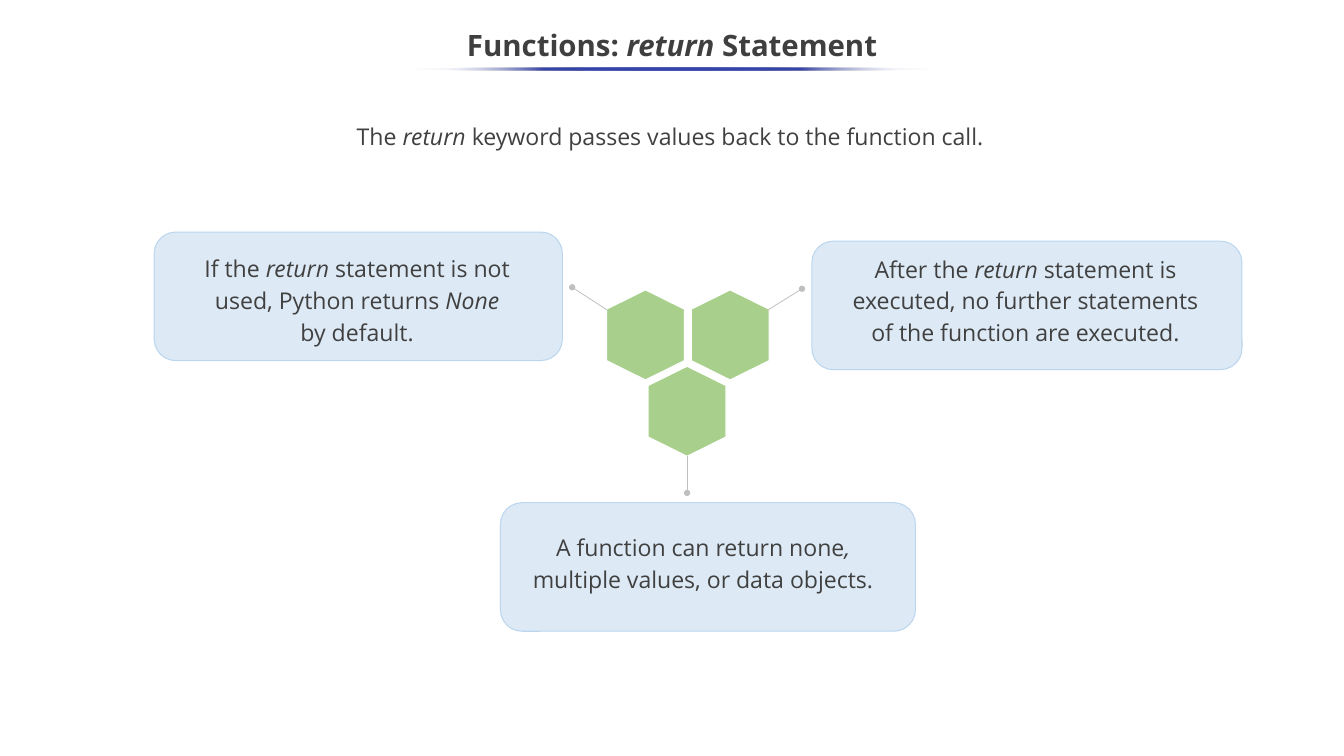
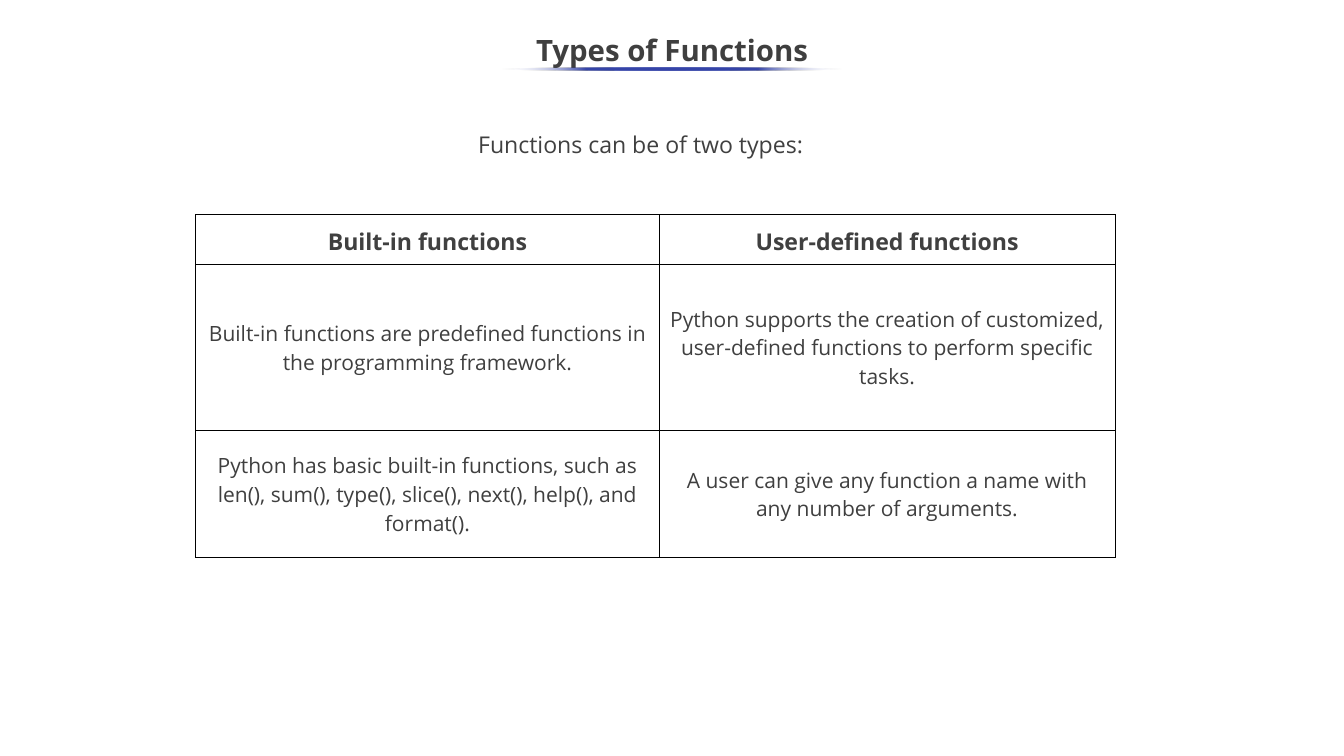
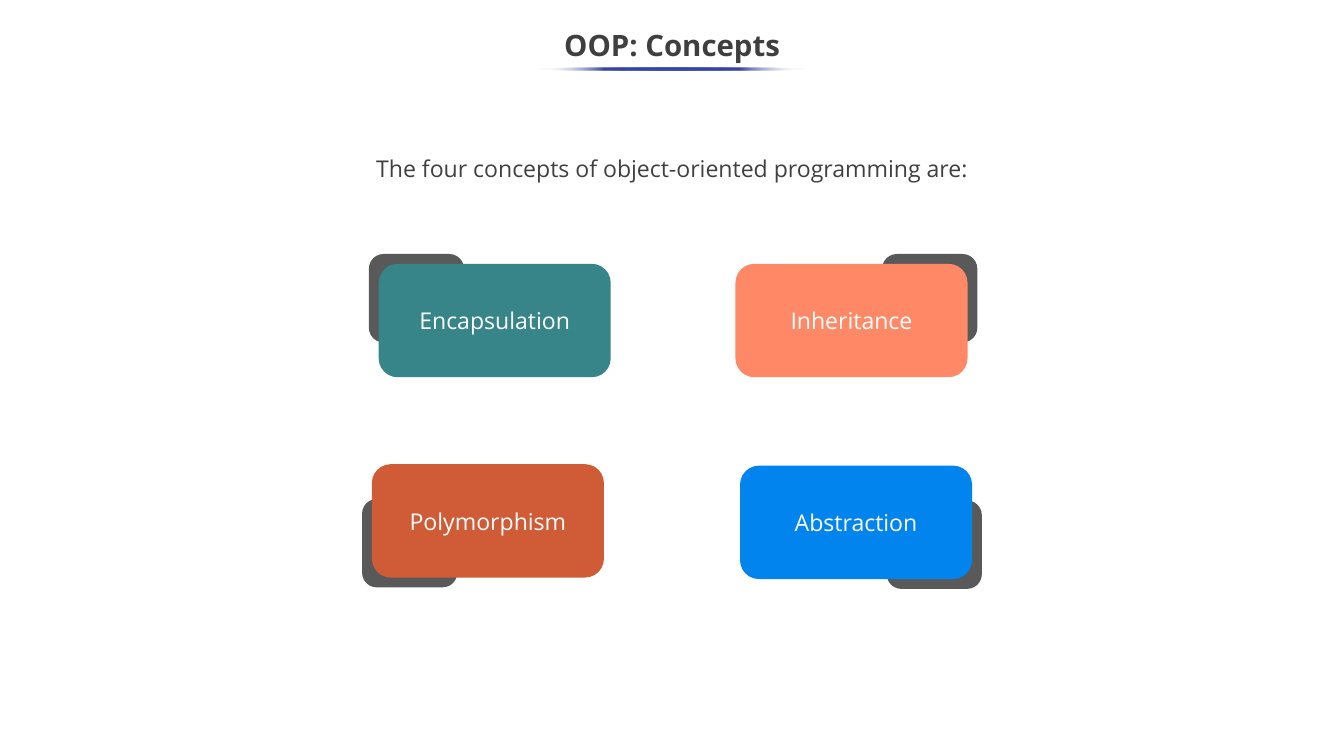
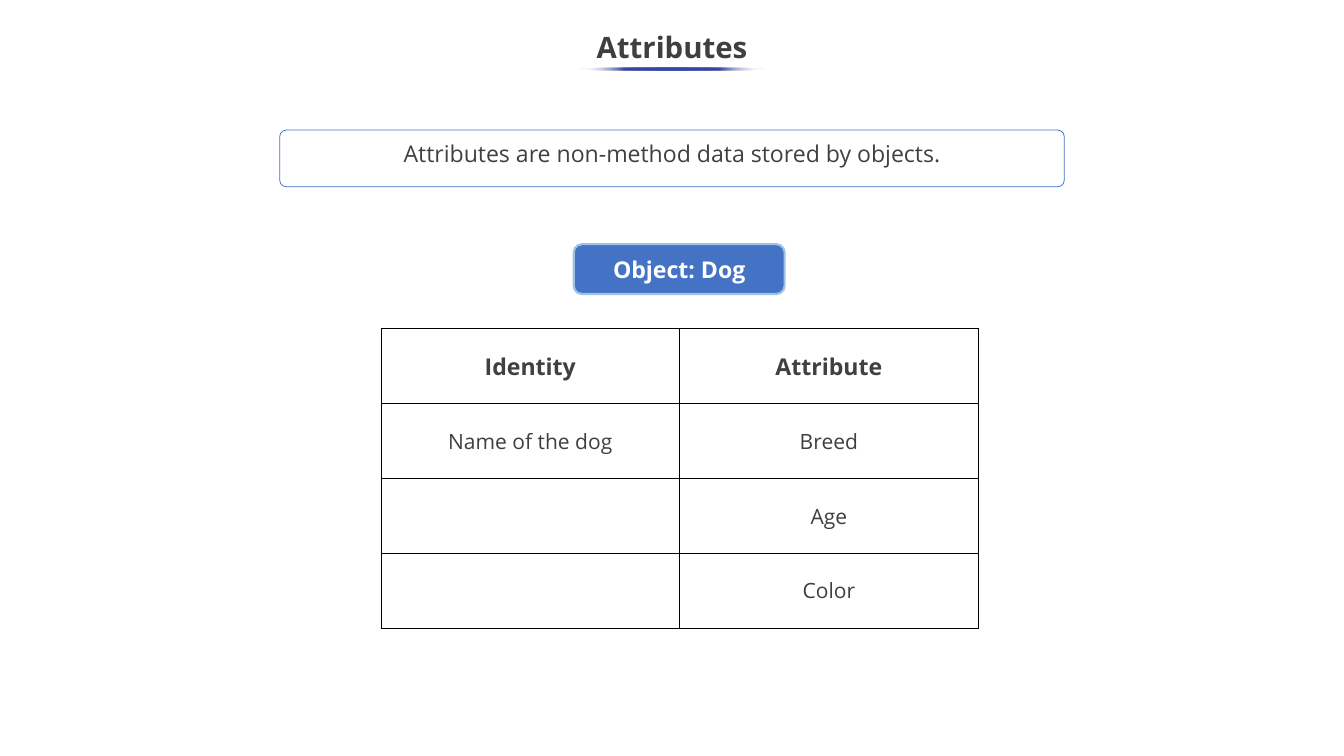
from dataclasses import dataclass
from lxml import etree
from pptx import Presentation
from pptx import util as u
from pptx.dml.color import RGBColor
from pptx.enum import shapes, text
from pptx.oxml import parse_xml
from pptx.oxml.ns import nsdecls, qn


@dataclass(frozen=True)
class Theme:
    font: str = "Open Sans"
    dark: str = "3F3F3F"
    ink: str = "404040"
    white: str = "FFFFFF"
    black: str = "000000"
    bar: str = "3645A9"
    card: str = "DDEAF6"
    edge: str = "BBD6EE"
    hexa: str = "A8D08C"
    wire: str = "BFBFBF"
    back: str = "595959"
    blue: str = "4472C4"
    rim: str = "9CC2E5"
    head: int = 28
    body: int = 22
    cell: int = 20


T = Theme()
WIDE, HIGH = 17.78, 10
MID = WIDE / 2

RETURN = {
    "title": "Functions: *return* Statement", "bar": 6.79,
    "lead": ("The *return* keyword passes values back to the function call.",
             (2.69, 1.28, 12.35, 0.98)),
    "cards": [
        ("If the *return* statement is not used, Python returns *None* by default.",
         (2.04, 3.07, 5.4, 1.7), (2.52, 3.3, 4.31, 1.28), (0.1, 0)),
        ("After the *return *statement is executed, no further statements "
         "of the function are executed.",
         (10.74, 3.19, 5.69, 1.7), (11.12, 3.31, 4.99, 1.28), (0, 0.1)),
        ("A function can return none*, *multiple values, or data objects.",
         (6.62, 6.65, 5.49, 1.7), (6.81, 6.79, 5.08, 1.27), (0, 0.1)),
    ],
    "cells": [
        ((8.54, 4.43), (8.03, 4.1), (7.57, 3.8)),
        ((9.66, 4.43), (10.16, 4.1), (10.61, 3.82)),
        ((9.09, 5.44), (9.09, 6.03), (9.09, 6.52)),
    ],
}
TYPES = {
    "title": "Types of Functions", "bar": 4.51, "space": 1.15,
    "lead": ("Functions can be of two types:", (4.65, 1.51, 7.65, 0.74)),
    "rows": [
        ("Built-in functions", "User-defined functions"),
        ("Built-in functions are predefined functions in the programming framework.",
         "Python supports the creation of customized, user-defined functions "
         "to perform specific tasks."),
        ("Python has basic built-in functions, such as len(), sum(), type(), "
         "slice(), next(), help(), and format().",
         "A user can give any function a name with any number of arguments."),
    ],
    "at": (2.59, 2.84), "cols": (6.13, 6.03), "highs": (0.66, 2.2, 1.68),
    "gap": 1.15,
}
OOP = {
    "title": "OOP: Concepts", "bar": 3.57,
    "lead": ("The four concepts of object-oriented programming are:",
             (2.45, 1.7, 12.88, 1.01)),
    "tiles": [
        [("Encapsulation", "378589", (5.01, 3.49)),
         ("Inheritance", "FF8966", (9.73, 3.49))],
        [("Polymorphism", "CF5C36", (4.92, 6.14)),
         ("Abstraction", "0284EF", (9.79, 6.16))],
    ],
}
TRAITS = {
    "title": "Attributes", "bar": 2.49, "top": 0.27,
    "lead": ("Attributes are non-method data stored by objects.",
             (3.7, 1.72, 10.38, 0.75)),
    "label": ("Object: Dog", (7.59, 3.23, 2.79, 0.66)),
    "rows": [("Identity", "Attribute"), ("Name of the dog", "Breed"),
             ("", "Age"), ("", "Color")],
    "at": (5.04, 4.35), "cols": (3.95,) * 2, "highs": (0.99,) * 4,
}


def inch(*nums):
    return [u.Inches(n) for n in nums]


def rgb(code):
    return RGBColor.from_string(code)


def write(frame, words, size, color, bold=False, space=1.0):
    frame.word_wrap = True
    para = frame.paragraphs[0]
    para.alignment = text.PP_ALIGN.CENTER
    para.line_spacing = space
    font = para.font
    font.name, font.size, font.bold = T.font, u.Pt(size), bold
    font.color.rgb = rgb(color)
    for i, part in enumerate(words.split("*")):
        if part:
            run = para.add_run()
            run.text = part
            if i % 2:
                run.font.italic = True


def paint(shape, fill=None, line=None, width=1):
    shape.shadow.inherit = False
    if fill:
        shape.fill.solid()
        shape.fill.fore_color.rgb = rgb(fill)
    else:
        shape.fill.background()
    if line:
        shape.line.color.rgb = rgb(line)
        shape.line.width = u.Pt(width)
    else:
        shape.line.fill.background()


def block(slide, box, fill=None, line=None, width=1, adj=0.167):
    shape = slide.shapes.add_shape(shapes.MSO_SHAPE.ROUNDED_RECTANGLE, *inch(*box))
    shape.adjustments[0] = adj
    paint(shape, fill, line, width)
    shape.text_frame.vertical_anchor = text.MSO_ANCHOR.MIDDLE
    return shape


def lead(slide, page, **look):
    words, box = page["lead"]
    shape = block(slide, box, **look)
    write(shape.text_frame, words, T.body, T.ink, space=1.15)
    return shape


def underline(slide, width):
    bar = slide.shapes.add_shape(
        shapes.MSO_SHAPE.OVAL, *inch(MID - width / 2, 0.89, width, 0.04))
    paint(bar, T.bar)
    clear = '<a:alpha val="0"/>'
    stops = "".join(
        f'<a:gs pos="{pos * 1000}"><a:srgbClr val="{color}">{alpha}</a:srgbClr></a:gs>'
        for pos, color, alpha in [(0, T.white, clear), (25, T.bar, ""), (50, T.bar, ""),
                                  (75, T.bar, ""), (100, T.white, clear)])
    solid = bar._element.spPr.find(qn("a:solidFill"))
    solid.getparent().replace(solid, parse_xml(
        f'<a:gradFill {nsdecls("a")} rotWithShape="1"><a:gsLst>{stops}</a:gsLst>'
        '<a:lin ang="10800000" scaled="0"/></a:gradFill>'))


def start(deck, page):
    slide = deck.slides.add_slide(deck.slide_layouts[5])
    title = slide.shapes.title
    title.left, title.top, title.width, title.height = inch(
        -0.01, page.get("top", 0.25), 17.8, 0.75)
    frame = title.text_frame
    frame.auto_size = text.MSO_AUTO_SIZE.NONE
    frame.vertical_anchor = text.MSO_ANCHOR.MIDDLE
    write(frame, page["title"], T.head, T.dark, True, page.get("space", 0.9))
    underline(slide, page["bar"])
    return slide


def wire(slide, begin, end):
    line = slide.shapes.add_connector(
        shapes.MSO_CONNECTOR.STRAIGHT, *inch(*begin, *end))
    line.line.color.rgb = rgb(T.wire)
    line.line.width = u.Pt(0.75)
    etree.SubElement(line.line._get_or_add_ln(), qn("a:tailEnd"), type="oval")
    etree.SubElement(line._element.spPr, qn("a:effectLst"))


def hexagon(slide, x, y):
    half, side, tall = 0.515, 0.34, 0.595
    dots = [(0, -tall), (half, -side), (half, side),
            (0, tall), (-half, side), (-half, -side)]
    dots = [inch(x + dx, y + dy) for dx, dy in dots]
    path = slide.shapes.build_freeform(*dots[0])
    path.add_line_segments(dots[1:], close=True)
    paint(path.convert_to_shape(), T.hexa, T.white)


def grid(slide, page):
    cols, highs = page["cols"], page["highs"]
    table = slide.shapes.add_table(
        len(highs), len(cols), *inch(*page["at"], sum(cols), sum(highs))).table
    table.first_row = table.horz_banding = False
    for col, width in zip(table.columns, cols):
        col.width = u.Inches(width)
    for r, (row, high) in enumerate(zip(table.rows, highs)):
        row.height = u.Inches(high)
        for cell, words in zip(row.cells, page["rows"][r]):
            props = cell._tc.get_or_add_tcPr()
            for side in "LRTB":
                props.append(parse_xml(
                    f'<a:ln{side} {nsdecls("a")} w="12700"><a:solidFill>'
                    f'<a:srgbClr val="{T.black}"/></a:solidFill></a:ln{side}>'))
            cell.fill.background()
            cell.vertical_anchor = text.MSO_ANCHOR.MIDDLE
            if words and r == 0:
                write(cell.text_frame, words, T.body, T.ink, True, page.get("gap", 1.0))
            elif words:
                write(cell.text_frame, words, T.cell, T.dark)


def draw_return(deck):
    slide = start(deck, RETURN)
    lead(slide, RETURN)
    for words, panel, box, (left, right) in RETURN["cards"]:
        block(slide, panel, T.card, T.edge)
        frame = block(slide, box, T.card).text_frame
        frame.margin_left, frame.margin_right = inch(left, right)
        write(frame, words, T.body, T.ink, space=1.15)
    for mid, begin, end in RETURN["cells"]:
        hexagon(slide, *mid)
        wire(slide, begin, end)


def draw_types(deck):
    slide = start(deck, TYPES)
    lead(slide, TYPES)
    grid(slide, TYPES)


def draw_oop(deck):
    slide = start(deck, OOP)
    lead(slide, OOP)
    wide, high, back_w, back_h, out = 3.07, 1.5, 1.26, 1.17, 0.13
    for r, row in enumerate(OOP["tiles"]):
        for c, (words, color, (x, y)) in enumerate(row):
            dx = wide - back_w + out if c else -out
            dy = high - back_h + out if r else -out
            block(slide, (x + dx, y + dy, back_w, back_h), T.back)
            tile = block(slide, (x, y, wide, high), color)
            write(tile.text_frame, words, T.body, T.white)


def draw_traits(deck):
    slide = start(deck, TRAITS)
    note = lead(slide, TRAITS, line=T.blue, width=0.75, adj=0.118)
    note.text_frame.vertical_anchor = text.MSO_ANCHOR.TOP
    grid(slide, TRAITS)
    words, box = TRAITS["label"]
    label = block(slide, box, T.blue, T.rim, 2)
    write(label.text_frame, words, T.body, T.white, True)


def main():
    deck = Presentation()
    deck.slide_width, deck.slide_height = inch(WIDE, HIGH)
    for draw in (draw_return, draw_types, draw_oop, draw_traits):
        draw(deck)
    deck.save("out.pptx")


if __name__ == "__main__":
    main()
